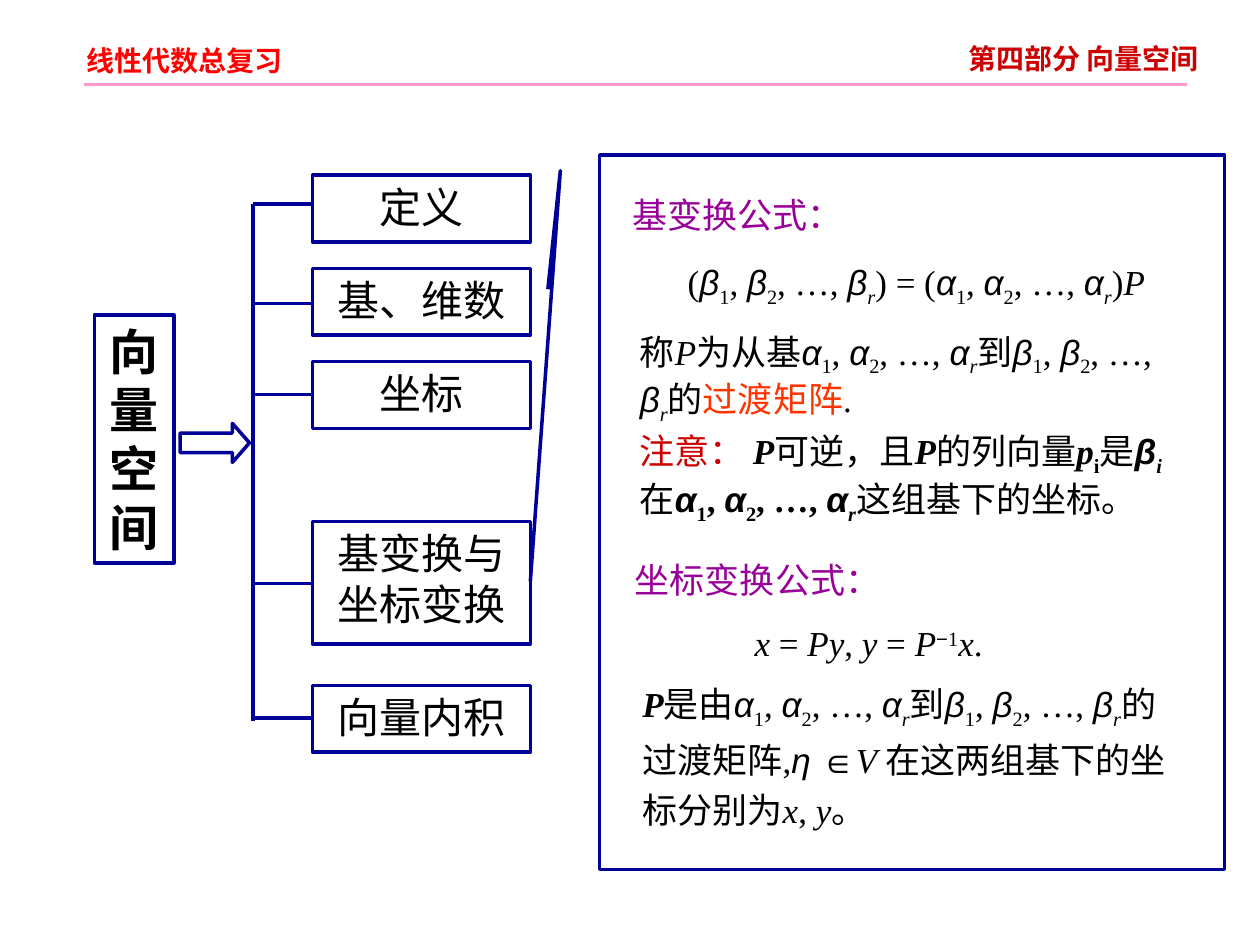
import pptx
import pptx.util
import pptx.dml.color
import pptx.enum.shapes
import pptx.enum.text
import pptx.oxml.ns
from dataclasses import dataclass
from lxml import etree

SHAPES = pptx.enum.shapes.MSO_SHAPE
ALIGN = pptx.enum.text.PP_ALIGN
COLUMNS, ROWS = 100, 75  # grid cells over a 10 x 7.5 inch slide


@dataclass(frozen=True)
class Theme:
    cjk: str = "Noto Sans CJK SC"
    latin: str = "Times New Roman"
    greek: str = "Arial"
    ink: str = "000000"
    frame: str = "000099"
    rule: str = "FF99CC"
    course: str = "FF0000"
    alert: str = "CC0000"
    heading: str = "990099"
    term: str = "FF3300"
    header_size: int = 16
    body_size: int = 20
    topic_size: int = 24
    root_size: int = 28
    frame_width: float = 2
    rule_width: float = 1.5


THEME = Theme()

# Run styles for mathematical text
PLAIN = {}
VAR = {"italic": True}
GREEK = {"italic": True, "name": THEME.greek}
SUB = {"baseline": -25}
SUB_VAR = {"baseline": -25, "italic": True}
SUPER = {"baseline": 30}
BOLD = {"bold": True}


def cells(*counts):
    """Grid counts to lengths; a cell is a tenth of an inch each way."""
    return [pptx.util.Inches(count * 10 / COLUMNS) for count in counts]


def rgb(value):
    return pptx.dml.color.RGBColor.from_string(value)


def set_all(target, values):
    for attribute, value in values.items():
        setattr(target, attribute, value)


def vectors(letter, extra=PLAIN):
    """Runs for the list  v1, v2, …, vr."""
    runs = []
    for index, style, after in (("1", SUB, ", "), ("2", SUB, ", …, "), ("r", SUB_VAR, "")):
        runs += [(letter, GREEK | extra), (index, style | extra)]
        if after:
            runs.append((after, extra))
    return runs


def write(shape, runs, base, wrap=True, grow=True, paragraph_format=PLAIN):
    frame = shape.text_frame
    sizing = pptx.enum.text.MSO_AUTO_SIZE
    set_all(frame, {"word_wrap": wrap,
                    "vertical_anchor": pptx.enum.text.MSO_ANCHOR.TOP,
                    "auto_size": sizing.SHAPE_TO_FIT_TEXT if grow else sizing.NONE})
    paragraph = frame.paragraphs[0]
    set_all(paragraph, {"alignment": ALIGN.LEFT} | paragraph_format)
    for text, style in runs:
        run = paragraph.add_run()
        run.text = text
        values = {"name": THEME.latin, "color": THEME.ink, "bold": False,
                  "italic": False} | base | style
        color, baseline = values.pop("color"), values.pop("baseline", 0)
        values["size"] = pptx.util.Pt(values["size"])
        set_all(run.font, values)
        run.font.color.rgb = rgb(color)
        properties = run._r.get_or_add_rPr()
        if baseline:
            properties.set("baseline", str(baseline * 1000))
        east_asian = etree.SubElement(properties, pptx.oxml.ns.qn("a:ea"))
        east_asian.set("typeface", THEME.cjk)


def add_text(slide, area, runs, wrap=False, size=THEME.body_size, **paragraph_format):
    box = slide.shapes.add_textbox(*cells(*area))
    write(box, runs, {"size": size}, wrap=wrap, paragraph_format=paragraph_format)


def add_outline(slide, kind, area, adjustments=()):
    shape = slide.shapes.add_shape(kind, *cells(*area))
    shape.shadow.inherit = False
    shape.fill.background()
    shape.line.color.rgb = rgb(THEME.frame)
    shape.line.width = pptx.util.Pt(THEME.frame_width)
    for position, value in enumerate(adjustments):
        shape.adjustments[position] = value
    return shape


def add_label_box(slide, area, label, size, bold=False, grow=False):
    box = add_outline(slide, SHAPES.RECTANGLE, area)
    write(box, [(label, PLAIN)], {"name": THEME.cjk, "size": size, "bold": bold},
          grow=grow, paragraph_format={"alignment": ALIGN.CENTER})


def add_line(slide, ends, color=THEME.frame, width=THEME.frame_width):
    line = slide.shapes.add_connector(pptx.enum.shapes.MSO_CONNECTOR.STRAIGHT, *cells(*ends))
    line.line.color.rgb = rgb(color)
    line.line.width = pptx.util.Pt(width)
    etree.SubElement(line._element.spPr, pptx.oxml.ns.qn("a:effectLst"))


def add_header(slide):
    add_line(slide, (6.7, 6.7, 94.2, 6.7), THEME.rule, THEME.rule_width)
    for area, title, color in (
            ((5.9, 3, 18, 3.7), "线性代数总复习", THEME.course),
            ((75.9, 2.8, 21, 3.7), "第四部分 向量空间", THEME.alert)):
        style = {"name": THEME.cjk, "bold": True, "color": color}
        add_text(slide, area, [(title, style)], size=THEME.header_size)


def add_topic_tree(slide):
    # Root and arrow
    add_label_box(slide, (7.5, 25, 6.3, 19.7), "向量空间", THEME.root_size, bold=True, grow=True)
    add_outline(slide, SHAPES.RIGHT_ARROW, (14.3, 33.6, 5.5, 3.1), (0.5, 0.438))
    # Trunk, then each topic with its branch
    trunk, left, width = 20.1, 24.8, 17.3
    add_line(slide, (trunk, 16.2, trunk, 57.2))
    topics = (("定义", 13.9, 5.3, 16.2), ("基、维数", 21.3, 5.3, 24.1),
              ("坐标", 28.7, 5.3, 31.3), ("基变换与坐标变换", 41.4, 9.7, 46.3),
              ("向量内积", 54.4, 5.3, 57))
    for label, top, height, branch in topics:
        add_label_box(slide, (left, top, width, height), label, THEME.topic_size)
        add_line(slide, (trunk, branch, left, branch))


def add_formula_panel(slide):
    add_outline(slide, SHAPES.LINE_CALLOUT_2, (47.6, 12.3, 49.6, 56.7),
                (0.188, -0.083, 0.022, -0.063, 0.597, -0.111))
    heading = {"color": THEME.heading}
    bold_var = VAR | BOLD

    # Change of basis
    add_text(slide, (49.2, 14.9, 18.7, 4.4), [("基变换公式：", heading)])
    add_text(slide, (53.4, 20.2, 39.3, 4.8),
             [("(", PLAIN), *vectors("β"), (") = (", PLAIN), *vectors("α"),
              (")", PLAIN), ("P ", VAR)], alignment=ALIGN.CENTER)
    add_text(slide, (49.8, 25.7, 45.1, 8.6),
             [("称", PLAIN), ("P", VAR), ("为从基", PLAIN), *vectors("α"), ("到", PLAIN),
              *vectors("β"), ("的", PLAIN), ("过渡矩阵", {"color": THEME.term}),
              (".", PLAIN)], wrap=True)

    # Remark on P
    add_text(slide, (49.8, 33.6, 44.1, 11.9),
             [("注意： ", {"color": THEME.alert}), ("P", bold_var), ("可逆，且", PLAIN),
              ("P", bold_var), ("的列向量", PLAIN), ("p", bold_var), ("i", SUB | BOLD),
              ("是", PLAIN), ("β", GREEK | BOLD), ("i", SUB_VAR | BOLD), ("在", PLAIN),
              *vectors("α", BOLD), ("这组基下的坐标。", PLAIN)], wrap=True)

    # Change of coordinates
    add_text(slide, (49.4, 43.8, 21.5, 4.4), [("坐标变换公式：", heading)])
    add_text(slide, (58.9, 48.2, 20.4, 5),
             [("x", VAR), (" = ", PLAIN), ("Py", VAR), (", ", PLAIN), ("y", VAR),
              (" = ", PLAIN), ("P", VAR), ("−", SUPER | {"name": THEME.greek}),
              ("1", SUPER), ("x", VAR), (".", PLAIN)], line_spacing=1.2)
    add_text(slide, (50, 52.9, 44.1, 13.6),
             [("P", bold_var), ("是由", PLAIN), *vectors("α"), ("到", PLAIN), *vectors("β"),
              ("的过渡矩阵,", PLAIN), ("η ", GREEK), ("∈", {"name": THEME.greek}),
              ("V ", VAR), ("在这两组基下的坐标分别为", PLAIN), ("x", VAR), (", ", PLAIN),
              ("y", VAR), ("。", PLAIN)], wrap=True, line_spacing=1.2)


def main():
    deck = pptx.Presentation()
    deck.slide_width, deck.slide_height = cells(COLUMNS, ROWS)
    slide = deck.slides.add_slide(deck.slide_layouts[6])
    add_header(slide)
    add_topic_tree(slide)
    add_formula_panel(slide)
    deck.save("out.pptx")


if __name__ == "__main__":
    main()
